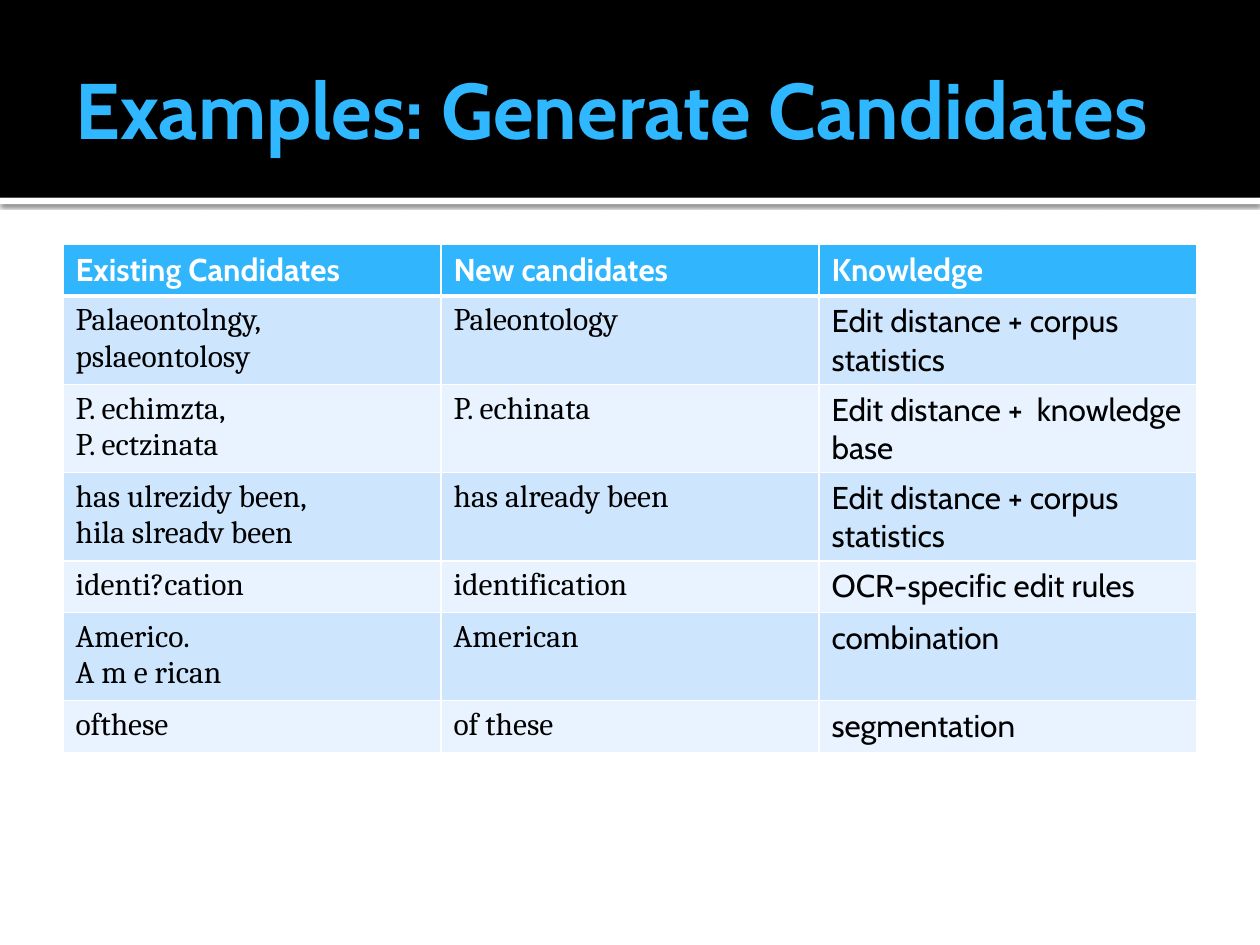
from lxml import etree
from pptx import Presentation
from pptx.dml.color import RGBColor
from pptx.enum.shapes import MSO_SHAPE
from pptx.enum.text import MSO_ANCHOR
from pptx.oxml import parse_xml
from pptx.util import Inches, Pt

RECT = MSO_SHAPE.RECTANGLE
MIDDLE = MSO_ANCHOR.MIDDLE
NS = "http://schemas.openxmlformats.org/drawingml/2006/main"


def paint(color, hue):
    """Set a fill or font colour from a hex string."""
    color.rgb = RGBColor.from_string(hue)


def write(para, text, size, font, hue, bold=False):
    """Add one run per line of text, with breaks between lines."""
    for i, line in enumerate(text.split("\n")):
        if i:
            para.add_line_break()
        run = para.add_run()
        run.text = line
        run.font.size = Pt(size)
        run.font.name = font
        run.font.bold = bold
        paint(run.font.color, hue)


deck = Presentation()
deck.slide_width, deck.slide_height = Inches(10), Inches(7.5)
slide = deck.slides.add_slide(deck.slide_layouts[6])

# Title band with a thin white strip that casts a shadow
for top, height, hue in [(1.57, 0.05, "FFFFFF"), (0, 1.57, "000000")]:
    band = slide.shapes.add_shape(RECT, 0, Inches(top), Inches(10), Inches(height))
    band.shadow.inherit = False
    band.fill.solid()
    paint(band.fill.fore_color, hue)
    band.line.fill.background()
    if top:
        effects = band._element.spPr.find(f"{{{NS}}}effectLst")
        effects.append(parse_xml(
            f'<a:outerShdw xmlns:a="{NS}" blurRad="{Pt(2.5)}" dist="{Pt(0.8)}" '
            'dir="5400000" algn="tl" rotWithShape="0"><a:srgbClr val="000000">'
            '<a:alpha val="60000"/></a:srgbClr></a:outerShdw>'))

title = slide.shapes.add_textbox(Inches(0.5), Inches(0.17), Inches(9), Inches(1.37))
frame = title.text_frame
frame.word_wrap = True
frame.vertical_anchor = MIDDLE
frame.margin_right = Inches(0.05)
write(frame.paragraphs[0], "Examples: Generate Candidates", 45, "Cabin", "2FB7FF", True)

# Table of candidates
rows = [
    ("Existing Candidates", "New candidates", "Knowledge"),
    ("Palaeontolngy,\npslaeontolosy", "Paleontology", "Edit distance + corpus statistics"),
    ("P. echimzta, \nP. ectzinata", "P. echinata", "Edit distance +  knowledge base"),
    ("has ulrezidy been, \nhila slreadv been", "has already been",
     "Edit distance + corpus statistics"),
    ("identi?cation", "identification", "OCR-specific edit rules"),
    ("Americo. \nA m e rican", "American", "combination "),
    ("ofthese", "of these", "segmentation"),
]
table = slide.shapes.add_table(
    len(rows), 3, Inches(0.5), Inches(1.94), Inches(9), Inches(0.41 * len(rows))).table
for col in table.columns:
    col.width = Inches(3)
for r, row in enumerate(rows):
    table.rows[r].height = Inches(0.41)
    head = r == 0
    shade = "31B6FD" if head else ("E8F3FF", "CEE5FE")[r % 2]
    for c, text in enumerate(row):
        cell = table.cell(r, c)
        cell.fill.solid()
        paint(cell.fill.fore_color, shade)
        font = "Cabin" if head or c == 2 else "Cambria"
        write(cell.text_frame.paragraphs[0], text, 18, font,
              "FFFFFF" if head else "000000", head)
        props = cell._tc.get_or_add_tcPr()
        for i, side in enumerate("LRTB"):
            thick = (r, side) in [(0, "B"), (1, "T")]
            line = etree.Element(f"{{{NS}}}ln{side}", w=str(Pt(3 if thick else 1)))
            fill = etree.SubElement(line, f"{{{NS}}}solidFill")
            etree.SubElement(fill, f"{{{NS}}}srgbClr", val="FFFFFF")
            props.insert(i, line)

deck.save("out.pptx")
